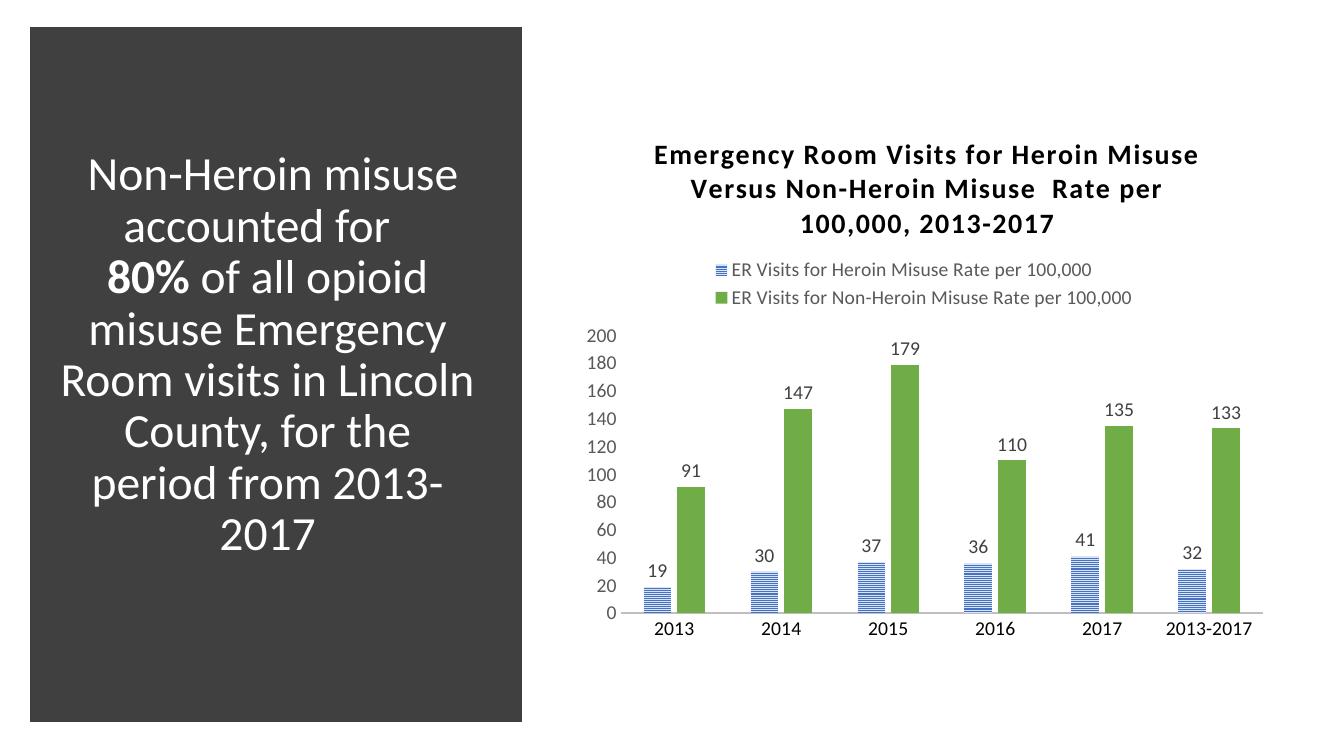
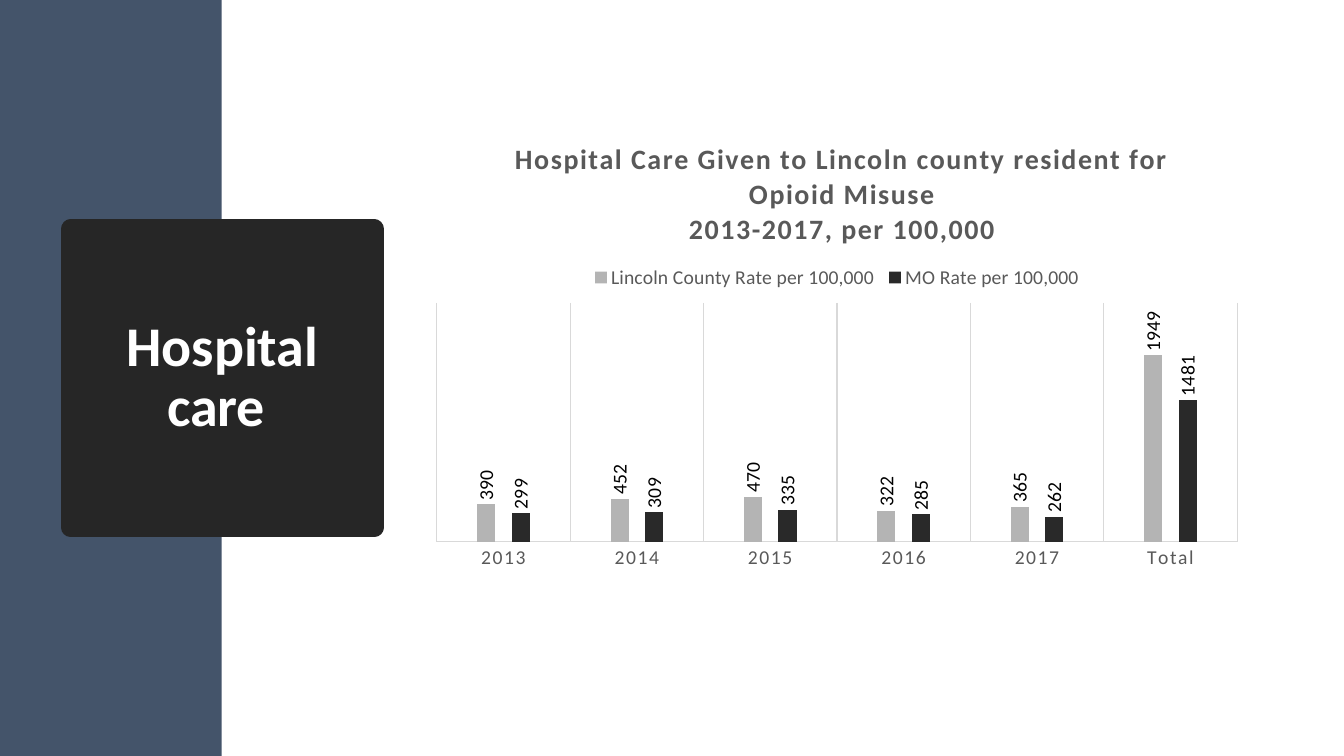
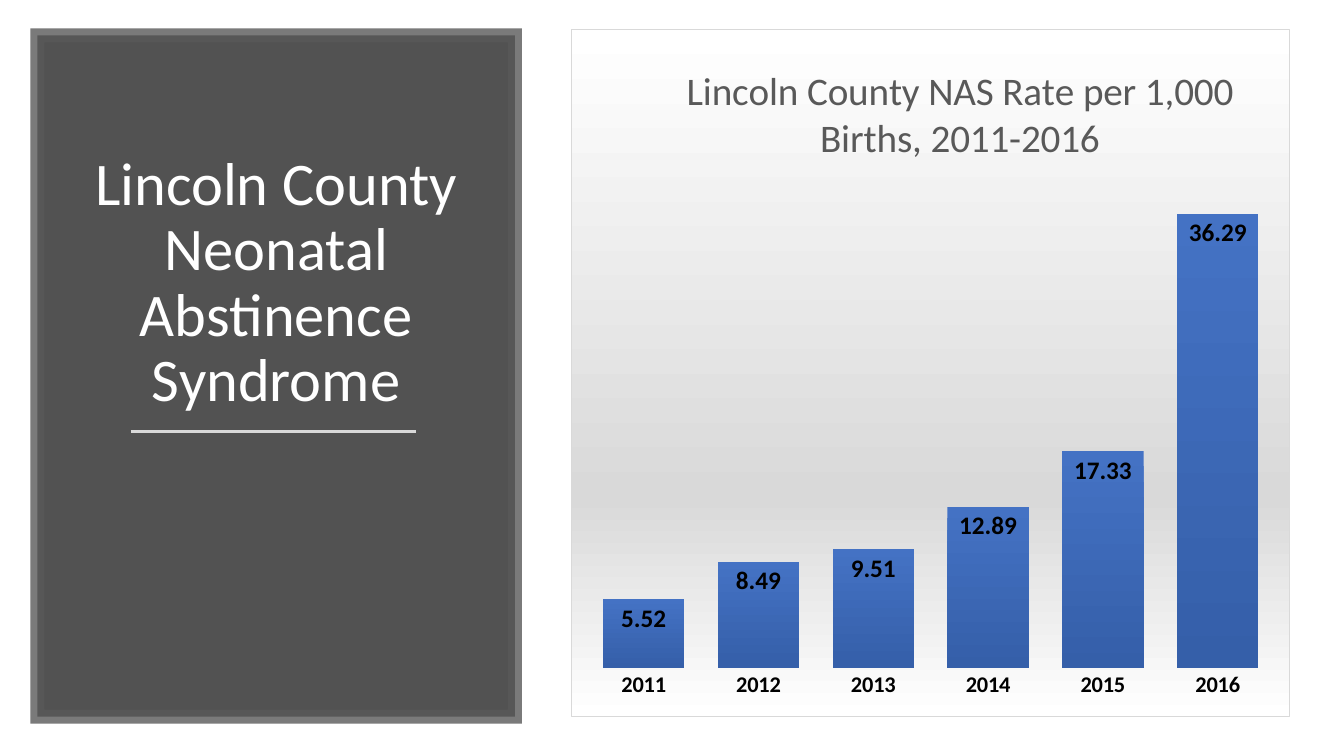
import pptx
import pptx.chart.data
import pptx.dml.color
import pptx.enum.chart
import pptx.enum.dml
import pptx.enum.shapes
import pptx.enum.text
import pptx.oxml
import pptx.oxml.ns
import pptx.util

Cm, Pt = pptx.util.Cm, pptx.util.Pt
qn = pptx.oxml.ns.qn
CHART = pptx.enum.chart
RECTANGLE = pptx.enum.shapes.MSO_SHAPE.RECTANGLE
ANCHOR = pptx.enum.text.MSO_ANCHOR

# Shared look
FONT = "Calibri"
WHITE, BLACK, CHARCOAL, NIGHT = "FFFFFF", "000000", "404040", "262626"
GREY, PALE, SLATE, BLUE = "595959", "D9D9D9", "44546A", "4472C4"
YEARS = ["2013", "2014", "2015", "2016", "2017"]


def rgb(value):
    return pptx.dml.color.RGBColor.from_string(value)


def style_font(font, size, color, bold=False):
    values = {"name": FONT, "size": Pt(size), "bold": bold}
    for attribute, value in values.items():
        setattr(font, attribute, value)
    font.color.rgb = rgb(color)


def style_line(line, color, width):
    line.color.rgb = rgb(color)
    line.width = Pt(width)


def set_join(shape, join):
    limit = ' lim="800000"' if join == "miter" else ""
    shape.line._get_or_add_ln().append(pptx.oxml.parse_xml(
        f'<a:{join} {pptx.oxml.ns.nsdecls("a")}{limit}/>'))


def set_alpha(fill_parent, percent):
    color = fill_parent.find(qn("a:solidFill"))[0]
    color.append(pptx.oxml.parse_xml(
        f'<a:alpha {pptx.oxml.ns.nsdecls("a")} val="{percent * 1000}"/>'))


def gradient(stops):
    """Vertical gradient from (percent, colour) stops."""
    marks = "".join(f'<a:gs pos="{at * 1000}"><a:srgbClr val="{color}"/></a:gs>'
                    for at, color in stops)
    return pptx.oxml.parse_xml(
        f'<a:gradFill {pptx.oxml.ns.nsdecls("a")} rotWithShape="1"><a:gsLst>{marks}'
        '</a:gsLst><a:lin ang="5400000" scaled="0"/></a:gradFill>')


def add_rectangle(slide, box, fill):
    block = slide.shapes.add_shape(RECTANGLE, *map(Cm, box))
    block.shadow.inherit = False
    block.fill.solid()
    block.fill.fore_color.rgb = rgb(fill)
    block.line.fill.background()
    return block


def set_title(slide, box, runs, size, anchor=ANCHOR.MIDDLE):
    """Fill the title placeholder; runs are (text, bold), None is a line break."""
    title = slide.shapes.title
    slide.shapes._spTree.append(title._element)  # in front of the panel
    for side, value in zip(("left", "top", "width", "height"), box):
        setattr(title, side, Cm(value))
    frame = title.text_frame
    for attribute, value in {"word_wrap": True, "vertical_anchor": anchor,
                             "auto_size": pptx.enum.text.MSO_AUTO_SIZE.NONE}.items():
        setattr(frame, attribute, value)
    paragraph = frame.paragraphs[0]
    paragraph.alignment = pptx.enum.text.PP_ALIGN.CENTER
    paragraph.line_spacing = 0.9
    for part in runs:
        if part is None:
            paragraph.add_line_break()
            continue
        run = paragraph.add_run()
        run.text = part[0]
        style_font(run.font, size, WHITE, part[1])
    return title


def add_panel(slide, box, line_color, title_box, runs, size, anchor=ANCHOR.MIDDLE):
    """Dark side panel; title_box is measured from its corner."""
    panel = add_rectangle(slide, box, CHARCOAL)
    style_line(panel.line, line_color, 10)
    set_join(panel, "miter")
    x, y, width, height = title_box
    set_title(slide, (box[0] + x, box[1] + y, width, height), runs, size, anchor)
    return panel


def place(part, index, x, y, width=None, height=None, inner=False):
    """Lay out a chart part by fractions of the chart."""
    for old in part.findall(qn("c:layout")):
        part.remove(old)
    values = {"xMode": "edge", "yMode": "edge", "x": x, "y": y, "w": width, "h": height}
    if inner:
        values = {"layoutTarget": "inner", **values}
    marks = "".join(f'<c:{tag} val="{value}"/>'
                    for tag, value in values.items() if value is not None)
    part.insert(index, pptx.oxml.parse_xml(
        f'<c:layout {pptx.oxml.ns.nsdecls("c")}><c:manualLayout>{marks}'
        '</c:manualLayout></c:layout>'))


def add_chart(slide, box, categories, series, gap, overlap, top, plot_area, number_format):
    """Column chart without grid; returns the chart."""
    data = pptx.chart.data.CategoryChartData(number_format=number_format)
    data.categories = categories
    for name, values in series:
        data.add_series(name, values)
    chart = slide.shapes.add_chart(
        CHART.XL_CHART_TYPE.COLUMN_CLUSTERED, *map(Cm, box), data).chart
    style_font(chart.font, 10, BLACK)
    chart.has_legend = False
    plot = chart.plots[0]
    for attribute, value in {"gap_width": gap, "overlap": overlap,
                             "vary_by_categories": False}.items():
        setattr(plot, attribute, value)
    for axis in (chart.category_axis, chart.value_axis):
        axis.has_major_gridlines = False
        axis.major_tick_mark = axis.minor_tick_mark = CHART.XL_TICK_MARK.NONE
    chart.value_axis.minimum_scale = 0
    chart.value_axis.maximum_scale = top
    place(chart._chartSpace.chart.plotArea, 0, *plot_area, inner=True)
    return chart


def set_chart_title(chart, lines, at, size, color, bold=False, spacing=0):
    frame = chart.chart_title.text_frame
    for number, line in enumerate(lines):
        paragraph = frame.add_paragraph() if number else frame.paragraphs[0]
        paragraph.alignment = pptx.enum.text.PP_ALIGN.CENTER
        run = paragraph.add_run()
        run.text = line
        style_font(run.font, size, color, bold)
        run.font._element.set("spc", str(spacing))
    chart.chart_title.include_in_layout = False
    place(chart.chart_title._element, 1, *at)


def set_legend(chart, area):
    chart.has_legend = True
    chart.legend.position = CHART.XL_LEGEND_POSITION.TOP
    chart.legend.include_in_layout = False
    style_font(chart.legend.font, 14, GREY)
    place(chart.legend._element, 1, *area)


def set_labels(chart, position, size, color, number_format, bold=False, upright=False):
    for series in chart.plots[0].series:
        labels = series.data_labels
        for attribute, value in {"show_value": True, "position": position,
                                 "number_format": number_format,
                                 "number_format_is_linked": False}.items():
            setattr(labels, attribute, value)
        style_font(labels.font, size, color, bold)
        if upright:
            body = labels._element.find(qn("c:txPr")).find(qn("a:bodyPr"))
            body.set("rot", "-5400000")
            body.set("vert", "horz")


def fill_solid(series, color):
    series.format.fill.solid()
    series.format.fill.fore_color.rgb = rgb(color)


def build_emergency(slide):
    add_panel(slide, (0.94, 0.86, 12.04, 17.17), CHARCOAL, (0.33, 1.2, 10.95, 13.79),
              [(" Non-Heroin misuse accounted for  ", False), None, ("80%", True),
               (" of all opioid misuse Emergency Room visits in Lincoln County, "
                "for the period from 2013-2017", False)], 34)
    chart = add_chart(
        slide, (14.4, 2.69, 17.78, 13.72), YEARS + ["2013-2017"],
        [("ER Visits for Heroin Misuse Rate per 100,000", (19, 30, 37, 36, 41, 32)),
         ("ER Visits for Non-Heroin Misuse Rate per 100,000",
          (91, 147, 179, 110, 135, 133))],
        164, -22, 200, (0.07, 0.42, 0.91, 0.51), "0")
    set_chart_title(chart, ["Emergency Room Visits for Heroin Misuse Versus "
                            "Non-Heroin Misuse  Rate per 100,000, 2013-2017"],
                    (0.11, 0.04), 20, BLACK, True, 100)
    set_legend(chart, (0.19, 0.27, 0.62, 0.11))
    set_labels(chart, CHART.XL_LABEL_POSITION.OUTSIDE_END, 14, CHARCOAL, "0")
    # Axes
    style_font(chart.category_axis.tick_labels.font, 14, BLACK)
    style_line(chart.category_axis.format.line, "BFBFBF", 1.5)
    rates = chart.value_axis
    rates.major_unit = 20
    rates.format.line.fill.background()
    style_font(rates.tick_labels.font, 14, GREY)
    # Columns
    heroin, other = chart.plots[0].series
    stripes = heroin.format.fill
    stripes.patterned()
    stripes.pattern = pptx.enum.dml.MSO_PATTERN.NARROW_HORIZONTAL
    stripes.fore_color.rgb = rgb(BLUE)
    stripes.back_color.rgb = rgb("DAE3F3")
    fill_solid(other, "70AD47")


def build_hospital(slide):
    add_rectangle(slide, (0, 0, 5.59, 19.05), SLATE)
    badge = set_title(slide, (1.78, 5.77, 7.65, 7.52), [("Hospital care ", True)], 40)
    badge.fill.solid()
    badge.fill.fore_color.rgb = rgb(NIGHT)
    style_line(badge.line, NIGHT, 13.75)
    set_join(badge, "round")
    chart = add_chart(
        slide, (10.59, 3, 21.01, 11.58), YEARS + ["Total"],
        [("Lincoln County Rate per 100,000", (390, 452, 470, 322, 365, 1949)),
         ("MO Rate per 100,000", (299, 309, 335, 285, 262, 1481))],
        444, -90, 2500, (0.02, 0.4, 0.96, 0.52), "0")
    set_chart_title(chart, ["Hospital Care Given to Lincoln county resident "
                            "for Opioid Misuse", "2013-2017, per 100,000"],
                    (0.11, 0.04), 20, GREY, True, 100)
    set_legend(chart, (0.2, 0.31, 0.6, 0.07))
    set_labels(chart, CHART.XL_LABEL_POSITION.OUTSIDE_END, 14, BLACK, "0", upright=True)
    # Axes
    chart.value_axis.visible = False
    years = chart.category_axis
    years.has_major_gridlines = True
    for line in (years.format.line, years.major_gridlines.format.line):
        style_line(line, PALE, 0.75)
    style_font(years.tick_labels.font, 14, GREY)
    years.tick_labels.font._element.set("spc", "100")
    # Columns
    for series, color in zip(chart.plots[0].series, ("B4B4B4", "292929")):
        fill_solid(series, color)


def build_neonatal(slide):
    left, top = 0.94, 0.89
    panel = add_panel(slide, (left, top, 12.04, 17.17), GREY, (0.94, 1.65, 10.16, 8.03),
                      [("Lincoln County Neonatal Abstinence Syndrome", False)],
                      43.2, ANCHOR.BOTTOM)
    set_alpha(panel._element.spPr, 90)
    set_alpha(panel.line._get_or_add_ln(), 80)
    # Rule under the title
    start, height = left + 2.36, top + 9.98
    rule = slide.shapes.add_connector(pptx.enum.shapes.MSO_CONNECTOR.STRAIGHT, Cm(start),
                                      Cm(height), Cm(start + 7.19), Cm(height))
    style_line(rule.line, PALE, 1.75)
    rule._element.spPr.append(pptx.oxml.parse_xml(
        f'<a:effectLst {pptx.oxml.ns.nsdecls("a")}/>'))
    chart = add_chart(
        slide, (14.4, 0.74, 18.11, 17.32), ["2011", "2012"] + YEARS[:4],
        [("Series 1", (5.52, 8.49, 9.51, 12.89, 17.33, 36.29))],
        41, 0, 40, (0.02, 0.2, 0.96, 0.73), "General")
    set_chart_title(chart, ["Lincoln County NAS Rate per 1,000 Births, 2011-2016"],
                    (0.15, 0.04), 28, GREY)
    set_labels(chart, CHART.XL_LABEL_POSITION.INSIDE_END, 18, BLACK, "General", bold=True)
    # Axes
    chart.value_axis.visible = False
    chart.category_axis.format.line.fill.background()
    style_font(chart.category_axis.tick_labels.font, 16, BLACK, True)
    # Columns and chart background
    columns = chart.plots[0].series[0]._element.get_or_add_spPr()
    columns.append(gradient([(0, BLUE), (100, "355FA9")]))
    backdrop = pptx.oxml.parse_xml(
        f'<c:spPr {pptx.oxml.ns.nsdecls("c", "a")}><a:ln w="9525"><a:solidFill>'
        f'<a:srgbClr val="{PALE}"/></a:solidFill></a:ln></c:spPr>')
    backdrop.insert(0, gradient([(0, WHITE), (68, PALE), (100, WHITE)]))
    chart._chartSpace.find(qn("c:txPr")).addprevious(backdrop)


def main():
    deck = pptx.Presentation()
    deck.slide_width, deck.slide_height = Cm(33.87), Cm(19.05)
    title_only = deck.slide_layouts[5]
    for build in (build_emergency, build_hospital, build_neonatal):
        build(deck.slides.add_slide(title_only))
    deck.save("out.pptx")


if __name__ == "__main__":
    main()
